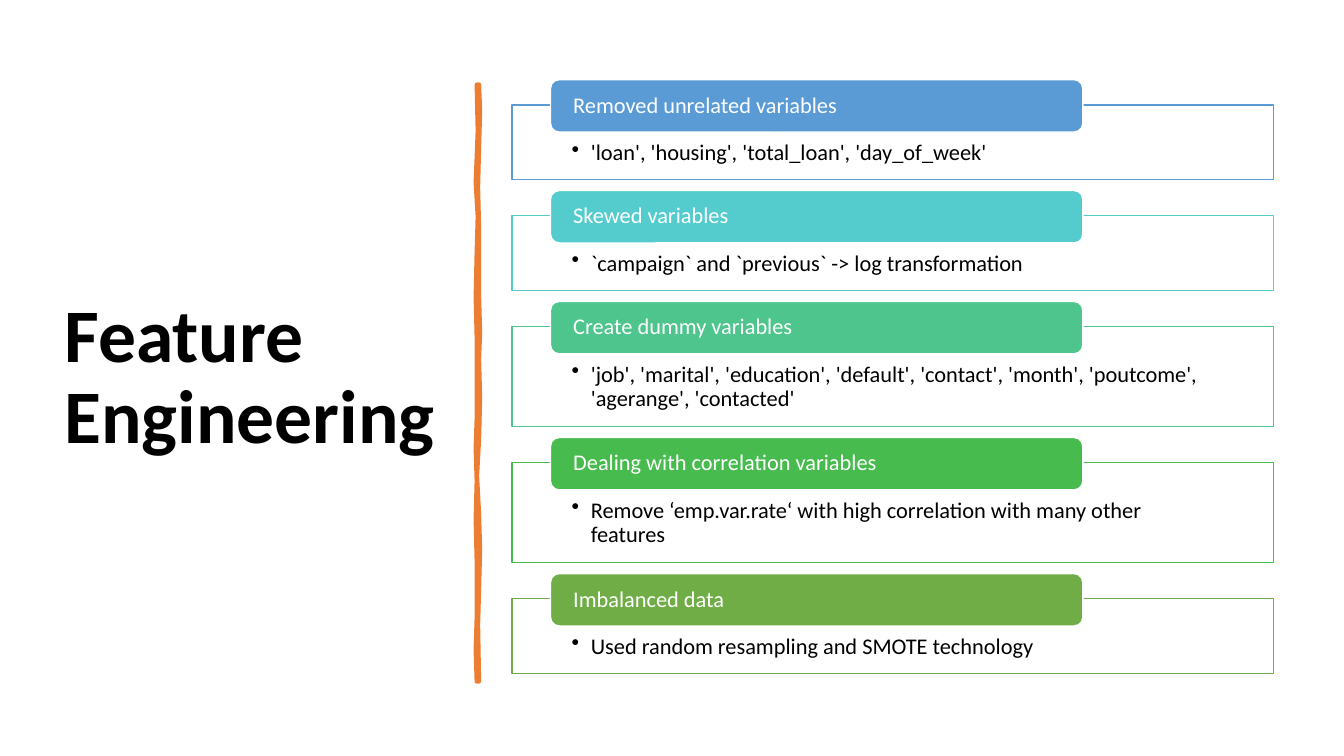
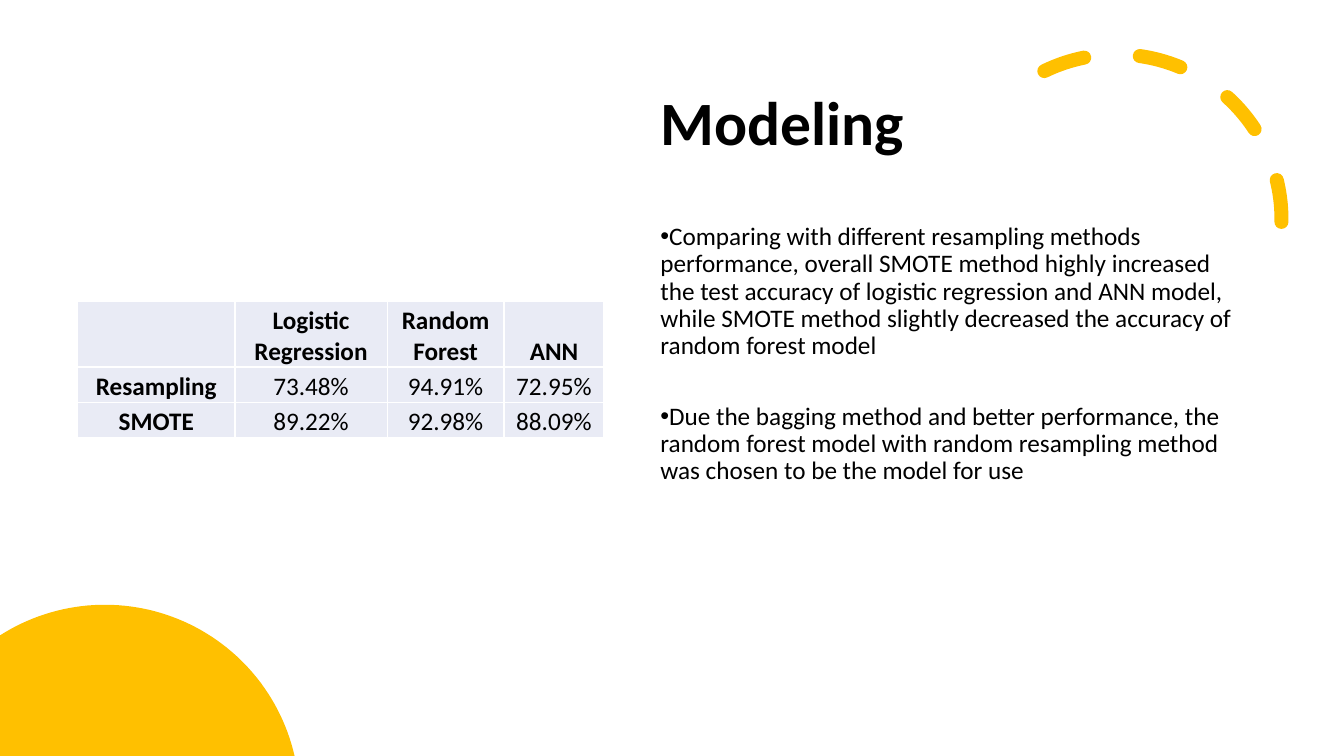
import math

import pptx
import pptx.dml.color
import pptx.enum.dml
import pptx.enum.shapes
import pptx.enum.text
import pptx.oxml
import pptx.oxml.ns
import pptx.util
from pptx.dml.color import RGBColor
from pptx.util import Inches

FONT = "Calibri"
BLACK = RGBColor(0x00, 0x00, 0x00)
WHITE = RGBColor(0xFF, 0xFF, 0xFF)
ORANGE = RGBColor(0xED, 0x7D, 0x31)
GOLD = RGBColor(0xFF, 0xC0, 0x00)
CELL_FILL = RGBColor(0xE9, 0xEB, 0xF5)
BLUE = RGBColor(0x5B, 0x9B, 0xD5)
TURQUOISE = RGBColor(0x54, 0xCC, 0xCD)
MINT = RGBColor(0x4D, 0xC5, 0x8D)
GREEN = RGBColor(0x48, 0xBB, 0x4F)
OLIVE = RGBColor(0x70, 0xAD, 0x47)

ANCHOR = pptx.enum.text.MSO_ANCHOR
ALIGN = pptx.enum.text.PP_ALIGN
SHAPE = pptx.enum.shapes.MSO_SHAPE


def write(frame, text, size=16, color=BLACK, bold=False, align=ALIGN.LEFT,
          anchor=ANCHOR.TOP, margins=(0.1, 0.05, 0.1, 0.05), spacing=0.9,
          after=0, bullet=None):
    frame.word_wrap = True
    frame.auto_size = pptx.enum.text.MSO_AUTO_SIZE.NONE
    frame.vertical_anchor = anchor
    (frame.margin_left, frame.margin_top,
     frame.margin_right, frame.margin_bottom) = map(Inches, margins)
    lines = text.split("\n")
    for index, line in enumerate(lines):
        paragraph = frame.paragraphs[0] if index == 0 else frame.add_paragraph()
        paragraph.alignment = align
        paragraph.line_spacing = spacing
        paragraph.space_before = pptx.util.Pt(0)
        paragraph.space_after = pptx.util.Pt(after)
        run = paragraph.add_run()
        run.text = line
        run.font.name = FONT
        run.font.size = pptx.util.Pt(size)
        run.font.bold = bold
        run.font.color.rgb = color
        if bullet:
            left, indent = bullet
            properties = paragraph._p.get_or_add_pPr()
            properties.set("marL", str(Inches(left)))
            properties.set("indent", str(Inches(indent)))
            properties.append(pptx.oxml.parse_xml(
                f'<a:buChar {pptx.oxml.ns.nsdecls("a")} char="•"/>'))


def paint(shape, fill, line=None, width=1):
    shape.shadow.inherit = False
    if fill is None:
        shape.fill.background()
    else:
        shape.fill.solid()
        shape.fill.fore_color.rgb = fill
    if line is None:
        shape.line.fill.background()
    else:
        shape.line.color.rgb = line
        shape.line.width = pptx.util.Pt(width)


presentation = pptx.Presentation()
presentation.slide_width = Inches(13.33)
presentation.slide_height = Inches(7.5)

titles = [
    ("Feature Engineering", 5, 54, (0.54, 0.7, 3.9, 6.11)),
    ("Modeling", 1, 44, (6.45, 0.52, 5.97, 1.45)),
]
slides = []
for text, layout, size, place in titles:
    slide = presentation.slides.add_slide(presentation.slide_layouts[layout])
    title = slide.shapes.title
    title.left, title.top, title.width, title.height = map(Inches, place)
    write(title.text_frame, text, size=size, bold=True, anchor=ANCHOR.MIDDLE)
    slides.append(slide)
feature_slide, modeling_slide = slides

rail_points = [
    (4.75, 0.84), (4.76, 1.1), (4.75, 1.46), (4.74, 1.86), (4.75, 2.26),
    (4.75, 2.94), (4.76, 3.3), (4.75, 3.56), (4.76, 3.95), (4.75, 4.36),
    (4.73, 4.72), (4.75, 5.1), (4.76, 5.45), (4.75, 5.84), (4.74, 6.2),
    (4.75, 6.76), (4.73, 6.76), (4.72, 6.45), (4.73, 6.13), (4.73, 5.57),
    (4.72, 5.15), (4.73, 4.77), (4.72, 4.45), (4.73, 4.15), (4.73, 3.35),
    (4.72, 2.95), (4.73, 2.5), (4.74, 2.15), (4.72, 1.81), (4.74, 1.3),
    (4.73, 0.84),
]
builder = feature_slide.shapes.build_freeform(*map(Inches, rail_points[0]))
builder.add_line_segments([(Inches(x), Inches(y)) for x, y in rail_points[1:]])
paint(builder.convert_to_shape(), ORANGE, ORANGE, 3.25)

steps = [
    ("Removed unrelated variables",
     "'loan', 'housing', 'total_loan', 'day_of_week'", BLUE, 0.74),
    ("Skewed variables",
     "`campaign` and `previous` -> log transformation", TURQUOISE, 0.74),
    ("Create dummy variables",
     "'job', 'marital', 'education', 'default', 'contact', 'month', "
     "'poutcome', 'agerange', 'contacted'", MINT, 0.99),
    ("Dealing with correlation variables",
     "Remove ‘emp.var.rate‘ with high correlation with many other features",
     GREEN, 0.99),
    ("Imbalanced data",
     "Used random resampling and SMOTE technology", OLIVE, 0.74),
]
top = 1.04
for heading, detail, color, height in steps:
    box = feature_slide.shapes.add_shape(
        SHAPE.RECTANGLE, Inches(5.08), Inches(top), Inches(7.55), Inches(height))
    paint(box, WHITE, color)
    write(box.text_frame, detail, margins=(0.59, 0.36, 0.59, 0.12),
          bullet=(0.19, -0.19))
    label = feature_slide.shapes.add_shape(
        SHAPE.ROUNDED_RECTANGLE, Inches(5.46), Inches(top - 0.25),
        Inches(5.28), Inches(0.52))
    paint(label, color, WHITE)
    write(label.text_frame, heading, color=WHITE, anchor=ANCHOR.MIDDLE,
          margins=(0.2, 0, 0.2, 0))
    top += height + 0.36

arc = modeling_slide.shapes.add_shape(
    SHAPE.ARC, Inches(9.44), Inches(0.54), Inches(3.27), Inches(3.27))
paint(arc, None, GOLD, 10)
for index, degrees in enumerate((244, 5.4)):
    arc.adjustments[index] = degrees * 0.6
arc.line.dash_style = pptx.enum.dml.MSO_LINE.DASH
arc.line._get_or_add_ln().set("cap", "rnd")

center_x, center_y, radius = 1.04, 7.93, 1.93
start = math.acos(-center_x / radius)
end = math.asin((center_y - 7.5) / radius)
arc_steps = 60
disc_points = [(0, 7.5)]
for index in range(arc_steps + 1):
    angle = start + (end - start) * index / arc_steps
    disc_points.append((center_x + radius * math.cos(angle),
                        center_y - radius * math.sin(angle)))
builder = modeling_slide.shapes.build_freeform(*map(Inches, disc_points[0]))
builder.add_line_segments([(Inches(x), Inches(y)) for x, y in disc_points[1:]])
paint(builder.convert_to_shape(), GOLD)

body = modeling_slide.placeholders[1]
body.left, body.top, body.width, body.height = map(
    Inches, (6.45, 2.17, 5.97, 4.58))
write(body.text_frame,
      "Comparing with different resampling methods performance, overall SMOTE "
      "method highly increased the test accuracy of logistic regression and ANN "
      "model, while SMOTE method slightly decreased the accuracy of random "
      "forest model\n"
      "Due the bagging method and better performance, the random forest model "
      "with random resampling method was chosen to be the model for use",
      size=18, after=31, bullet=(0, -0.25))

rows = [
    ("", "Logistic Regression", "Random Forest", "ANN"),
    ("Resampling", "73.48%", "94.91%", "72.95%"),
    ("SMOTE", "89.22%", "92.98%", "88.09%"),
]
table = modeling_slide.shapes.add_table(
    3, 4, Inches(0.77), Inches(2.99), Inches(5.22), Inches(1.35)).table
table.horz_banding = False
for column, width in zip(table.columns, (1.56, 1.51, 1.16, 0.99)):
    column.width = Inches(width)
for row, height in zip(table.rows, (0.65, 0.35, 0.35)):
    row.height = Inches(height)
for row_index, values in enumerate(rows):
    for column_index, value in enumerate(values):
        cell = table.cell(row_index, column_index)
        if value:
            write(cell.text_frame, value, size=18, align=ALIGN.CENTER, spacing=1,
                  bold=row_index == 0 or column_index == 0)
        cell.vertical_anchor = ANCHOR.BOTTOM
        cell.margin_left = cell.margin_right = cell.margin_top = Inches(0.01)
        cell.margin_bottom = 0
        properties = cell._tc.get_or_add_tcPr()
        for side in ("lnL", "lnR", "lnT", "lnB"):
            properties.append(pptx.oxml.parse_xml(
                f'<a:{side} {pptx.oxml.ns.nsdecls("a")} w="12700"><a:solidFill>'
                f'<a:srgbClr val="{WHITE}"/></a:solidFill></a:{side}>'))
        cell.fill.solid()
        cell.fill.fore_color.rgb = CELL_FILL

presentation.save("out.pptx")
